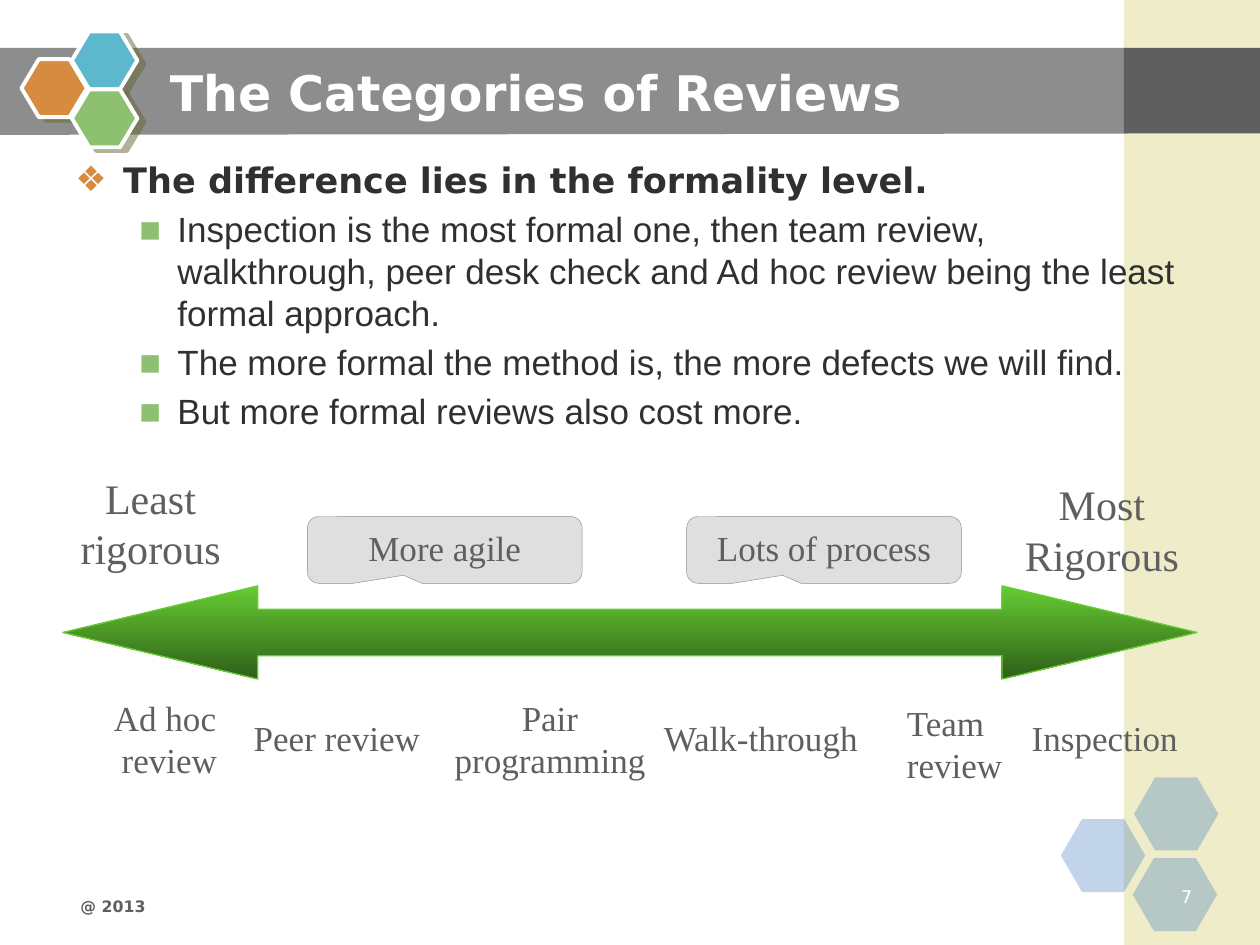
from lxml.etree import SubElement
from pptx import Presentation
from pptx.dml.color import RGBColor
from pptx.enum.shapes import MSO_SHAPE
from pptx.enum.text import MSO_ANCHOR, PP_ALIGN
from pptx.oxml.ns import qn
from pptx.util import Inches, Pt

SANS, ARIAL, SERIF = "DejaVu Sans", "Arial", "Times New Roman"
GRAY, DARK, WHITE = "8D8D8D", "5F5F5F", "FFFFFF"
LEFT, CENTER, RIGHT = PP_ALIGN.LEFT, PP_ALIGN.CENTER, PP_ALIGN.RIGHT

TITLE = "The Categories of Reviews"
BODY = [
    (0, "The difference lies in the formality level."),
    (1, "Inspection is the most formal one, then team review, walkthrough, peer desk check "
        "and Ad hoc review being the least formal approach."),
    (1, "The more formal the method is, the more defects we will find."),
    (1, "But more formal reviews also cost more."),
]
LEVELS = [
    {"margin": 0.38, "hang": 0.38, "bullet": "❖", "color": "D68B40", "font": SANS, "bold": True},
    {"margin": 0.81, "hang": 0.31, "bullet": "▪", "color": "8EC072", "font": ARIAL, "bold": False},
]
BADGE = [(0.17, 0.47, "D68B40"), (0.57, 0.25, "5DB8CD"), (0.57, 0.71, "8EC072")]
CORNER_HEXAGONS = [(8.42, 6.5), (9, 6.17), (8.99, 6.81)]
ENDS = [("Most\vRigorous", 7.99, 3.75, 1.51), ("Least\vrigorous", 0.49, 3.7, 1.41)]
METHODS = [
    ("Ad hoc \nreview", 0.78, 5.48, 1.13, CENTER, False),
    ("Peer review", 1.91, 5.64, 1.53, CENTER, False),
    ("Pair\nprogramming", 3.44, 5.48, 1.85, CENTER, True),
    ("Walk-through", 5.17, 5.64, 1.86, LEFT, False),
    ("Team \vreview", 7.1, 5.52, 1, LEFT, False),
    ("Inspection", 8.09, 5.64, 1.47, LEFT, False),
]
CALLOUTS = [("Lots of process", 5.45), ("More agile", 2.44)]

presentation = Presentation()
presentation.slide_width, presentation.slide_height = Inches(10), Inches(7.5)
slide = presentation.slides.add_slide(presentation.slide_layouts[6])


def rgb(color):
    return RGBColor.from_string(color)


def paint(shape, fill, opacity=100, line=None, line_width=1):
    shape.shadow.inherit = False
    shape.fill.solid()
    shape.fill.fore_color.rgb = rgb(fill)
    if opacity < 100:
        color = shape.fill._xPr.find(qn("a:solidFill"))[0]
        SubElement(color, qn("a:alpha"), val=str(opacity * 1000))
    outline(shape, line, line_width)


def outline(shape, color, width):
    if color:
        shape.line.color.rgb = rgb(color)
        shape.line.width = Pt(width)
    else:
        shape.line.fill.background()


def add_shape(kind, left, top, width, height, adjustments=()):
    shape = slide.shapes.add_shape(kind, *map(Inches, (left, top, width, height)))
    for index, value in enumerate(adjustments):
        shape.adjustments[index] = value
    return shape


def style(paragraph, size, font, color, bold=False, align=LEFT):
    paragraph.alignment = align
    for run in paragraph.runs:
        run.font.size, run.font.name, run.font.bold = Pt(size), font, bold
        run.font.color.rgb = rgb(color)


def add_text(text, left, top, width, height, size, font, color,
             bold=False, align=LEFT, wrap=True, anchor=MSO_ANCHOR.TOP):
    box = slide.shapes.add_textbox(*map(Inches, (left, top, width, height)))
    frame = box.text_frame
    frame.word_wrap, frame.vertical_anchor = wrap, anchor
    frame.text = text
    for paragraph in frame.paragraphs:
        style(paragraph, size, font, color, bold, align)
    return frame


def add_bullet(paragraph, level):
    properties = paragraph._p.get_or_add_pPr()
    properties.set("marL", str(Inches(level["margin"])))
    properties.set("indent", str(-Inches(level["hang"])))
    color = SubElement(properties, qn("a:buClr"))
    SubElement(color, qn("a:srgbClr"), val=level["color"])
    SubElement(properties, qn("a:buFont"), typeface=SANS)
    SubElement(properties, qn("a:buChar"), char=level["bullet"])


def add_shadow(shape):
    effects = shape._element.spPr.find(qn("a:effectLst"))
    shadow = SubElement(effects, qn("a:outerShdw"), dist=str(Pt(4.5)),
                        dir=str(27 * 60000), algn="ctr", rotWithShape="0")
    color = SubElement(shadow, qn("a:srgbClr"), val="666633")
    SubElement(color, qn("a:alpha"), val="50000")


band = slide.shapes.build_freeform(Inches(-0.01), Inches(0.38))
band.add_line_segments([(Inches(x), Inches(y)) for x, y in [(8.95, 0.38), (8.95, 1.06), (-0.01, 1.07)]])
paint(band.convert_to_shape(), GRAY)

paint(add_shape(MSO_SHAPE.RECTANGLE, 8.92, 0, 1.08, 7.5), "D5D179", 40)
paint(add_shape(MSO_SHAPE.RECTANGLE, 8.92, 0.38, 1.08, 0.68), DARK)
for left, top in CORNER_HEXAGONS:
    paint(add_shape(MSO_SHAPE.HEXAGON, left, top, 0.67, 0.58, [0.29]), "5086C2", 35)
for left, top, color in BADGE:
    hexagon = add_shape(MSO_SHAPE.HEXAGON, left, top, 0.52, 0.46, [0.3])
    paint(hexagon, color, line=WHITE, line_width=2.25)
    add_shadow(hexagon)

add_text("@ 2013", 0.54, 7.07, 2.46, 0.25, 9, SANS, DARK, bold=True)
add_text(TITLE, 1.25, 0.42, 7.33, 0.62, 28, SANS, WHITE, bold=True, anchor=MSO_ANCHOR.MIDDLE)
body = add_text("\n".join(text for _, text in BODY), 0.5, 1.21, 9, 5.74, 20, SANS, "303030")
for index, (paragraph, (depth, _)) in enumerate(zip(body.paragraphs, BODY)):
    level = LEVELS[depth]
    paragraph.level = depth
    paragraph.space_before = Pt(4 if index else 0)
    add_bullet(paragraph, level)
    style(paragraph, 20, level["font"], "303030", level["bold"])
add_text("7", 9.06, 6.98, 0.5, 0.25, 10, SANS, WHITE, align=RIGHT)

arrow = add_shape(MSO_SHAPE.LEFT_RIGHT_ARROW, 0.5, 4.65, 9, 0.74, [0.5, 2.09])
arrow.shadow.inherit = False
arrow.fill.gradient()
arrow.fill.gradient_angle = 270
for stop, color in zip(arrow.fill.gradient_stops, ["66CC33", "2F5E18"]):
    stop.color.rgb = rgb(color)
outline(arrow, "66CC33", 0.75)

for text, left, top, width in ENDS:
    add_text(text, left, top, width, 0.91, 24, SERIF, DARK, align=CENTER)
for text, left, top, width, align, wrap in METHODS:
    height = 0.77 if "\n" in text or "\v" in text else 0.43
    add_text(text, left, top, width, height, 20, SERIF, DARK, align=align, wrap=wrap)
for text, left in CALLOUTS:
    callout = add_shape(MSO_SHAPE.ROUNDED_RECTANGULAR_CALLOUT, left, 4.1, 2.18, 0.53, [-0.15, 0.38, 0.17])
    paint(callout, "C0C0C0", 50, GRAY, 0.25)
    callout.text_frame.text = text
    callout.text_frame.vertical_anchor = MSO_ANCHOR.TOP
    style(callout.text_frame.paragraphs[0], 20, SERIF, DARK, align=CENTER)

presentation.save("out.pptx")
